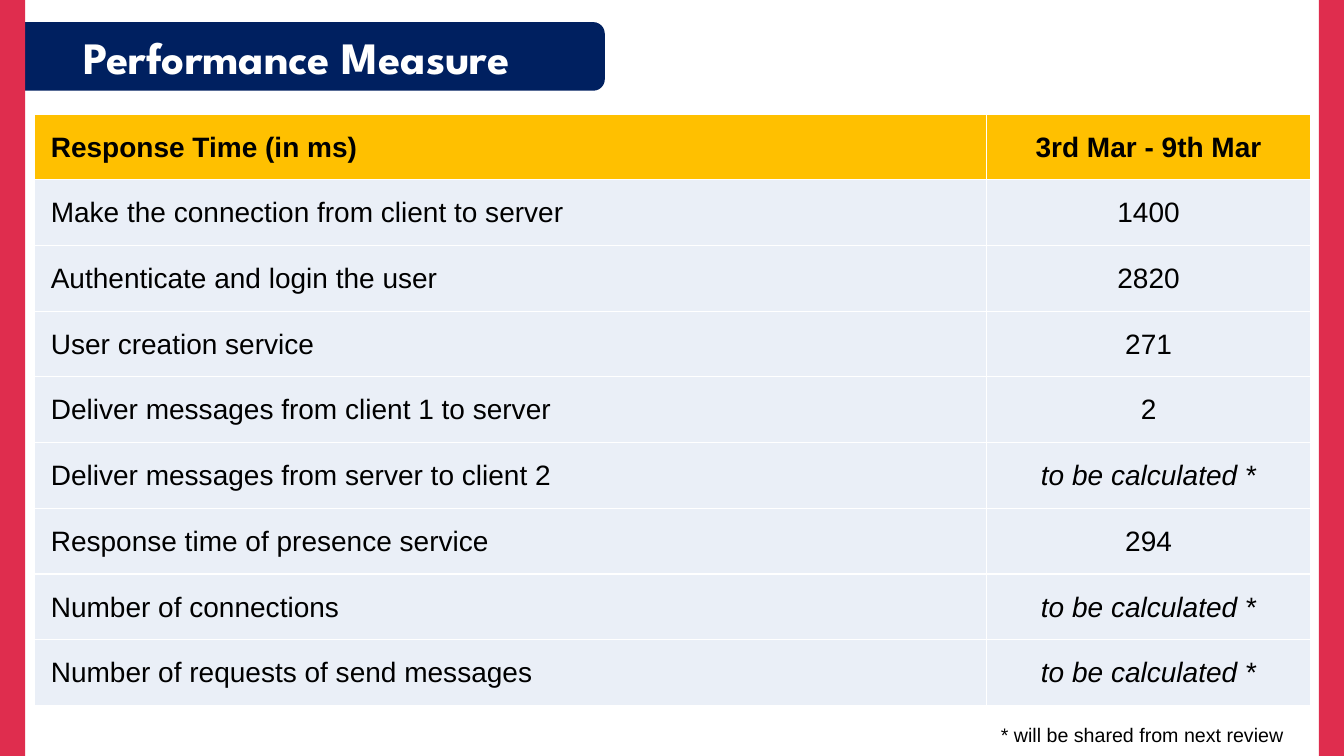
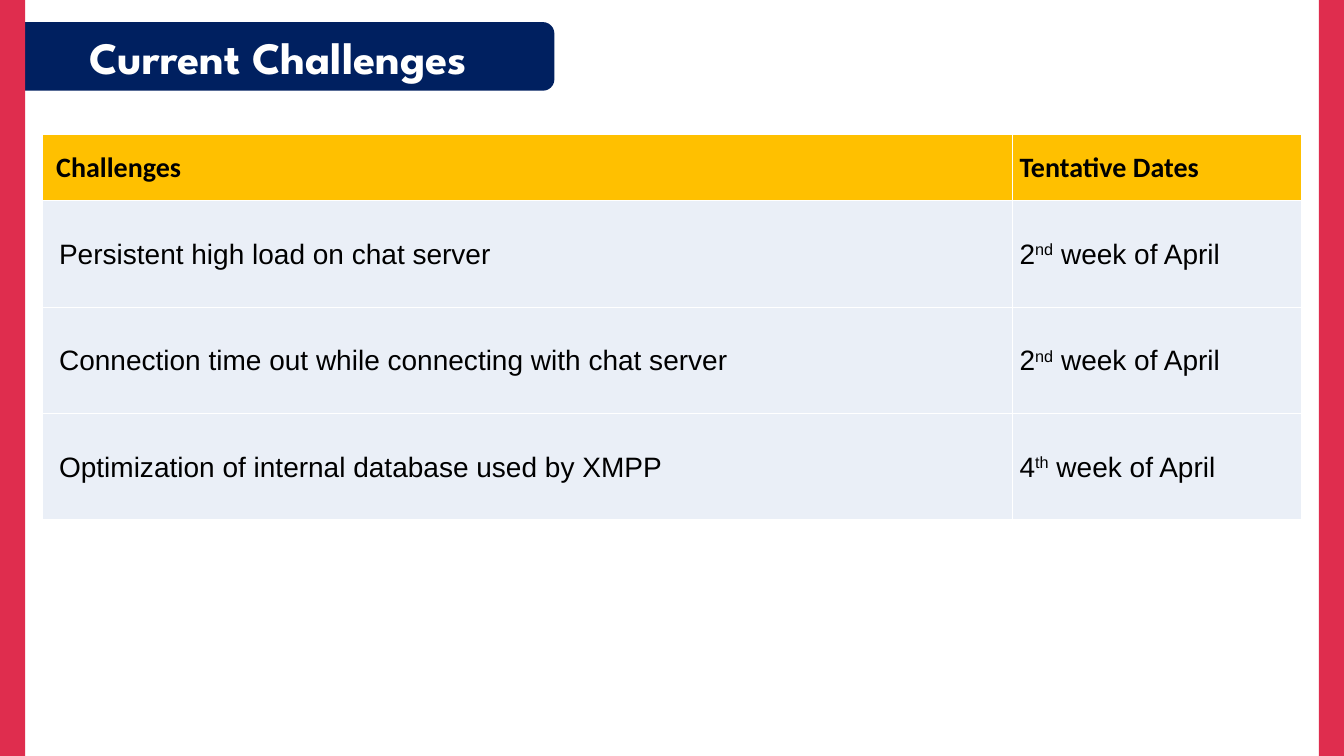
from lxml import etree
from pptx import Presentation
from pptx.dml.color import RGBColor
from pptx.enum.shapes import MSO_SHAPE
from pptx.enum.text import MSO_ANCHOR, PP_ALIGN
from pptx.oxml.ns import qn
from pptx.util import Pt

RECT = MSO_SHAPE.RECTANGLE
ROUNDED = MSO_SHAPE.ROUNDED_RECTANGLE
MIDDLE = MSO_ANCHOR.MIDDLE
LEFT, CENTER = PP_ALIGN.LEFT, PP_ALIGN.CENTER

NAVY = RGBColor(0x00, 0x20, 0x60)
RED = RGBColor(0xDF, 0x2D, 0x4E)
AMBER = RGBColor(0xFF, 0xC0, 0x00)
PALE = RGBColor(0xEA, 0xEF, 0xF7)
WHITE = RGBColor(0xFF, 0xFF, 0xFF)
BLACK = RGBColor(0x00, 0x00, 0x00)

TITLE_FONT, BODY_FONT, HEAD_FONT = "League Spartan", "Arial", "Calibri"
SLIDE_W, SLIDE_H, BAR_W = 960, 540, 18
CELL_INSET = 0.72

PENDING = "to be calculated *"
MEASURES = [
    ("Make the connection from client to server", "1400"),
    ("Authenticate and login the user", "2820"),
    ("User creation service", "271"),
    ("Deliver messages from client 1 to server", "2"),
    ("Deliver messages from server to client 2", PENDING),
    ("Response time of presence service", "294"),
    ("Number of connections", PENDING),
    ("Number of requests of send messages", PENDING),
]
CHALLENGES = [
    ("Persistent high load on chat server", "2", "nd"),
    ("Connection time out while connecting with chat server", "2", "nd"),
    ("Optimization of internal database used by XMPP", "4", "th"),
]


def add_run(p, text, size=20, font=BODY_FONT, color=BLACK, bold=False,
            italic=False, superscript=False):
    r = p.add_run()
    r.text = text
    r.font.size = Pt(size)
    r.font.name = font
    r.font.color.rgb = color
    r.font.bold = bold
    r.font.italic = italic
    if superscript:
        r._r.get_or_add_rPr().set("baseline", "30000")


def add_block(slide, preset, x, y, w, h, color):
    sp = slide.shapes.add_shape(preset, Pt(x), Pt(y), Pt(w), Pt(h))
    sp.shadow.inherit = False
    sp.fill.solid()
    sp.fill.fore_color.rgb = color
    sp.line.fill.background()
    return sp


def add_base_slide(prs, title, title_w, right_inset=7.2):
    slide = prs.slides.add_slide(prs.slide_layouts[6])
    tf = add_block(slide, ROUNDED, 1.5, 15.8, title_w, 49, NAVY).text_frame
    tf.vertical_anchor = MIDDLE
    tf.margin_right = Pt(right_inset)
    p = tf.paragraphs[0]
    p.alignment = CENTER
    add_run(p, title, 32, TITLE_FONT, WHITE, bold=True)
    for x in (SLIDE_W - BAR_W, 0):
        add_block(slide, RECT, x, 0, BAR_W, SLIDE_H, RED)
    return slide


def add_grid(slide, x, y, col_widths, row_heights):
    frame = slide.shapes.add_table(len(row_heights), len(col_widths), Pt(x), Pt(y),
                                   Pt(sum(col_widths)), Pt(sum(row_heights)))
    table = frame.table
    table.first_row = table.horz_banding = False
    for col, width in zip(table.columns, col_widths):
        col.width = Pt(width)
    for row, height in zip(table.rows, row_heights):
        row.height = Pt(height)
    return table


def add_borders(cell):
    tc_pr = cell._tc.get_or_add_tcPr()
    for side in ("lnL", "lnR", "lnT", "lnB"):
        ln = etree.SubElement(tc_pr, qn(f"a:{side}"), w=str(Pt(1)))
        fill = etree.SubElement(ln, qn("a:solidFill"))
        etree.SubElement(fill, qn("a:srgbClr"), val=str(WHITE))


def style_cell(cell, color, indent=CELL_INSET, align=LEFT):
    add_borders(cell)
    cell.fill.solid()
    cell.fill.fore_color.rgb = color
    cell.vertical_anchor = MIDDLE
    cell.margin_left = Pt(indent)
    cell.margin_right = cell.margin_top = Pt(CELL_INSET)
    cell.margin_bottom = 0
    p = cell.text_frame.paragraphs[0]
    p.alignment = align
    return p


def add_footnote(slide, text):
    box = slide.shapes.add_textbox(Pt(707.8), Pt(512.6), Pt(228), Pt(24.5))
    tf = box.text_frame
    tf.word_wrap = True
    add_run(tf.paragraphs[0], text, 14)


def add_performance_slide(prs):
    slide = add_base_slide(prs, "Performance Measure", 430.5, right_inset=17)
    table = add_grid(slide, 24.5, 81.4, [680.4, 231.1], [46.95] * (len(MEASURES) + 1))
    rows = [("Response Time (in ms)", "3rd Mar - 9th Mar")] + MEASURES
    for i, (label, value) in enumerate(rows):
        header = i == 0
        color = AMBER if header else PALE
        p = style_cell(table.cell(i, 0), color, indent=11.8)
        add_run(p, label, bold=header)
        p = style_cell(table.cell(i, 1), color, align=CENTER)
        add_run(p, value, bold=header, italic=value == PENDING)
    add_footnote(slide, "* will be shared from next review")


def add_challenges_slide(prs):
    slide = add_base_slide(prs, "Current Challenges", 394.5)
    table = add_grid(slide, 30.4, 96, [692.6, 206.6], [47.5] + [76] * len(CHALLENGES))
    for col, (text, indent) in enumerate([("Challenges", 9.8), ("Tentative Dates", 5.3)]):
        p = style_cell(table.cell(0, col), AMBER, indent)
        add_run(p, text, font=HEAD_FONT, bold=True)
    for i, (challenge, week, suffix) in enumerate(CHALLENGES, 1):
        add_run(style_cell(table.cell(i, 0), PALE, indent=11.8), challenge)
        p = style_cell(table.cell(i, 1), PALE, indent=5.3)
        add_run(p, week)
        add_run(p, suffix, superscript=True)
        add_run(p, " week of April")


def main():
    prs = Presentation()
    prs.slide_width, prs.slide_height = Pt(SLIDE_W), Pt(SLIDE_H)
    add_performance_slide(prs)
    add_challenges_slide(prs)
    prs.save("out.pptx")


if __name__ == "__main__":
    main()
